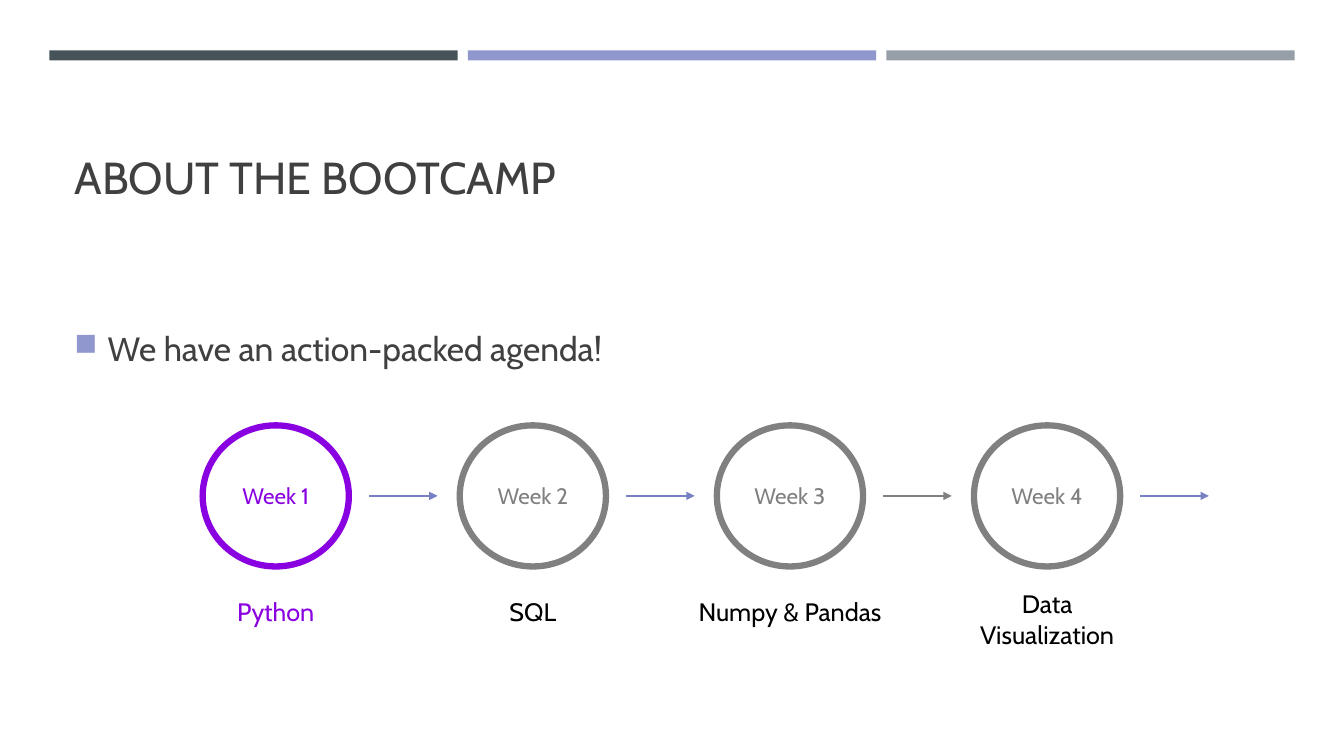
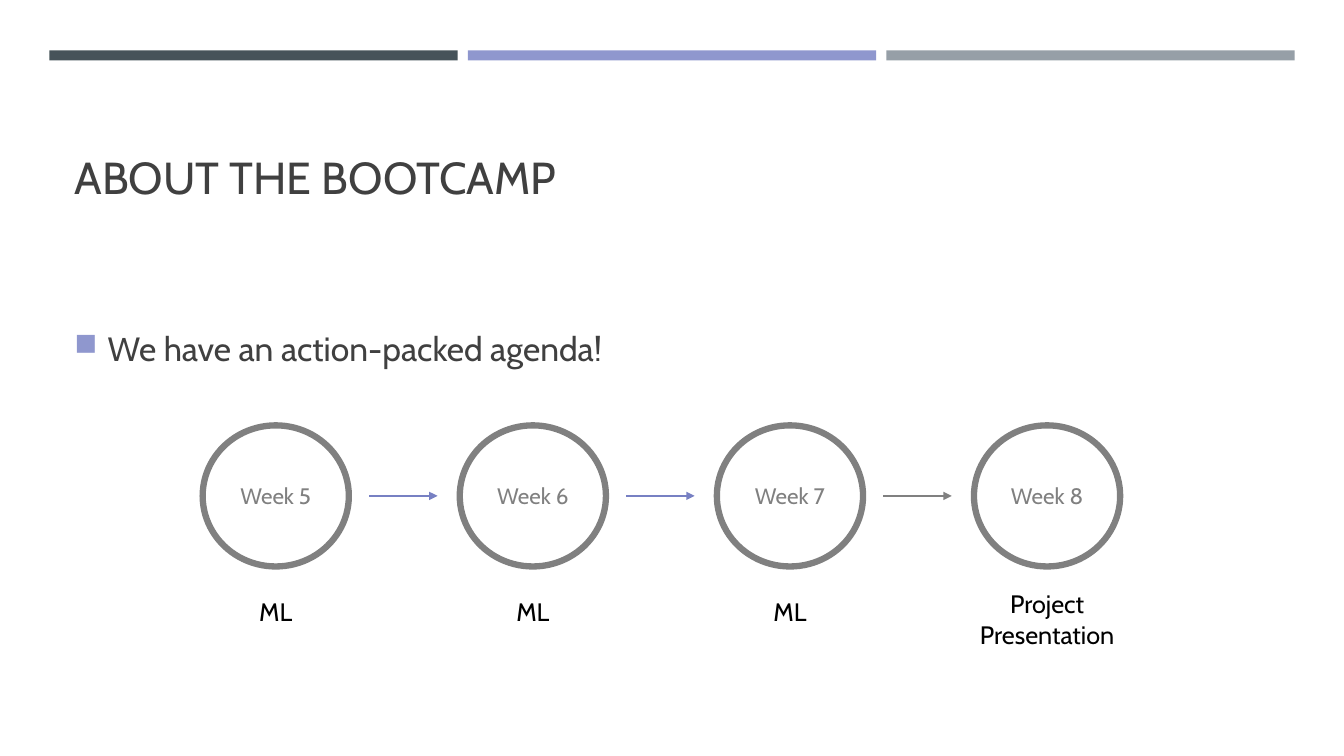
from lxml.etree import SubElement
from pptx import Presentation
from pptx.dml.color import RGBColor
from pptx.enum.shapes import MSO_CONNECTOR, MSO_SHAPE
from pptx.enum.text import MSO_ANCHOR, PP_ALIGN
from pptx.oxml.ns import qn
from pptx.util import Inches, Pt

SLATE = RGBColor(0x46, 0x53, 0x59)
LAVENDER = RGBColor(0x8F, 0x97, 0xCE)
SILVER = RGBColor(0x96, 0x9F, 0xA7)
CHARCOAL = RGBColor(0x40, 0x40, 0x40)
PURPLE = RGBColor(0x89, 0x00, 0xE1)
GRAY = RGBColor(0x80, 0x80, 0x80)
PERIWINKLE = RGBColor(0x77, 0x80, 0xC3)
BLACK = RGBColor(0x00, 0x00, 0x00)
WHITE = RGBColor(0xFF, 0xFF, 0xFF)

FONT = "Cabin"
BAND_COLORS = (SLATE, LAVENDER, SILVER)
BAND_LEFT, BAND_PITCH = 0.49, 4.15

WEEK_LEFT, WEEK_PITCH = 2.01, 2.55
CIRCLE_TOP, CIRCLE_WIDTH, CIRCLE_HEIGHT = 4.22, 1.45, 1.4
ARROW_GAP, ARROW_LENGTH = 0.2, 0.68
ARROW_COLORS = (PERIWINKLE, PERIWINKLE, GRAY, PERIWINKLE)
# Width, top and height of the topic under each circle
TOPIC_FRAMES = ((1.3, 5.87, 0.4), (1.3, 5.87, 0.4), (2.2, 5.87, 0.4), (1.62, 5.79, 0.71))


class AgendaDeck:
    """Holds the deck, its style and the current slide."""

    def __init__(self):
        """Start an empty widescreen deck."""
        self.deck = Presentation()
        self.deck.slide_width = Inches(13.33)
        self.deck.slide_height = Inches(7.5)
        self.page = None

    def add_page(self, title):
        """Add a slide with the three bands and the title."""
        self.page = self.deck.slides.add_slide(self.deck.slide_layouts[6])
        for index, color in enumerate(BAND_COLORS):
            left = BAND_LEFT + index * BAND_PITCH
            self.add_shape(MSO_SHAPE.RECTANGLE, (left, 0.5, 4.05, 0.1), color)
        self.add_text(title, (0.64, 0.77, 12.06, 1.3), 32, CHARCOAL,
                      {"vertical_anchor": MSO_ANCHOR.BOTTOM})

    def add_shape(self, kind, frame, fill, outline=None):
        """Add a flat preset shape, with a thick outline if one is given."""
        shape = self.page.shapes.add_shape(kind, *map(Inches, frame))
        shape.shadow.inherit = False
        shape.fill.solid()
        shape.fill.fore_color.rgb = fill
        if outline is None:
            shape.line.fill.background()
        else:
            shape.line.color.rgb = outline
            shape.line.width = Pt(4.5)
        return shape

    def fill_text(self, box, text, size, color, frame_format, para_format):
        """Put one styled paragraph into a box and return it."""
        frame = box.text_frame
        para = frame.paragraphs[0]
        span = para.add_run()
        span.text = text
        span.font.color.rgb = color
        formats = (
            (frame, {"word_wrap": True, **frame_format}),
            (para, para_format),
            (span.font, {"name": FONT, "size": Pt(size)}),
        )
        for target, values in formats:
            for name, value in values.items():
                setattr(target, name, value)
        return para

    def add_text(self, text, frame, size, color, frame_format, para_format=None):
        """Add a text box and return its paragraph."""
        box = self.page.shapes.add_textbox(*map(Inches, frame))
        return self.fill_text(box, text, size, color, frame_format, para_format or {})

    def add_bullet(self, text):
        """Add the body line with its square bullet."""
        frame_format = {"vertical_anchor": MSO_ANCHOR.MIDDLE, "margin_bottom": Inches(0.4)}
        para = self.add_text(text, (0.64, 2.47, 12.06, 2.28), 24, CHARCOAL,
                             frame_format, {"line_spacing": 1.1})
        properties = para._p.get_or_add_pPr()
        properties.set("marL", str(Inches(0.33)))
        properties.set("indent", str(Inches(-0.33)))
        bullet_color = SubElement(properties, qn("a:buClr"))
        SubElement(bullet_color, qn("a:srgbClr"), val=str(LAVENDER))
        SubElement(properties, qn("a:buSzPct"), val="92000")
        SubElement(properties, qn("a:buChar"), char="■")

    def add_arrow(self, left, color):
        """Add a level arrow at the middle of the circles."""
        middle = CIRCLE_TOP + CIRCLE_HEIGHT / 2
        ends = (left, middle, left + ARROW_LENGTH, middle)
        arrow = self.page.shapes.add_connector(MSO_CONNECTOR.STRAIGHT, *map(Inches, ends))
        arrow.line.color.rgb = color
        arrow.line.width = Pt(1)
        properties = arrow._element.spPr
        SubElement(properties.get_or_add_ln(), qn("a:tailEnd"), type="triangle")
        SubElement(properties, qn("a:effectLst"))

    def add_week(self, column, number, topic, current):
        """Add a week's circle and the topic centred below it."""
        left = WEEK_LEFT + column * WEEK_PITCH
        color = PURPLE if current else GRAY
        centered = {"alignment": PP_ALIGN.CENTER}
        circle = self.add_shape(MSO_SHAPE.OVAL, (left, CIRCLE_TOP, CIRCLE_WIDTH, CIRCLE_HEIGHT),
                                WHITE, color)
        self.fill_text(circle, f"Week {number}", 16, color,
                       {"vertical_anchor": MSO_ANCHOR.MIDDLE}, centered)
        width, top, height = TOPIC_FRAMES[column]
        topic_left = left + (CIRCLE_WIDTH - width) / 2
        self.add_text(topic, (topic_left, top, width, height), 18,
                      PURPLE if current else BLACK, {}, centered)

    def add_agenda(self, first_week, topics, arrow_count, current_week):
        """Add a page with a row of weeks joined by arrows."""
        self.add_page("ABOUT THE BOOTCAMP")
        self.add_bullet("We have an action-packed agenda!")
        for column, topic in enumerate(topics):
            number = first_week + column
            self.add_week(column, number, topic, number == current_week)
        for column, color in enumerate(ARROW_COLORS[:arrow_count]):
            left = WEEK_LEFT + column * WEEK_PITCH + CIRCLE_WIDTH + ARROW_GAP
            self.add_arrow(left, color)


def main():
    """Build both agenda pages and save the deck."""
    agenda = AgendaDeck()
    current_week = 1
    agenda.add_agenda(1, ("Python", "SQL", "Numpy & Pandas", "Data Visualization"),
                      4, current_week)
    agenda.add_agenda(5, ("ML", "ML", "ML", "Project Presentation"), 3, current_week)
    agenda.deck.save("out.pptx")


main()
